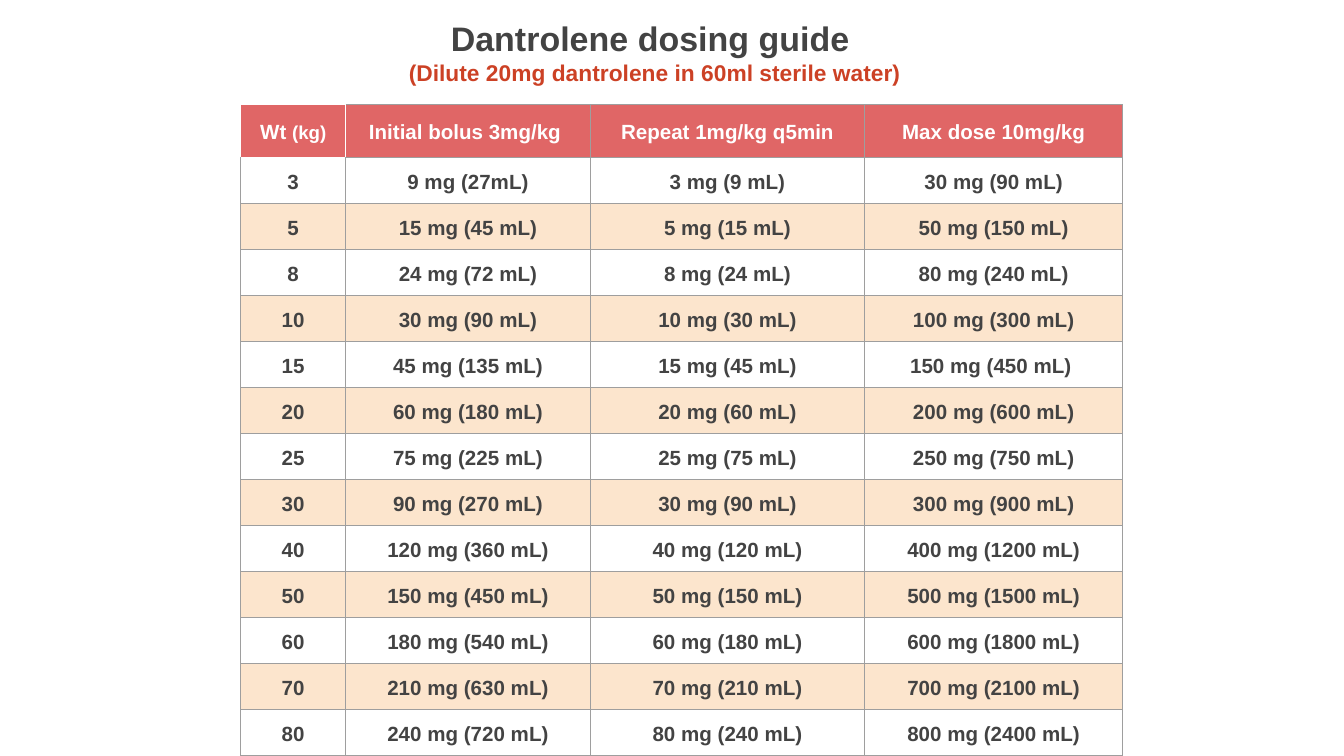
from dataclasses import dataclass

import pptx
import pptx.dml.color
import pptx.enum.text
import pptx.oxml
import pptx.oxml.ns
import pptx.util
from pptx.util import Cm


@dataclass(frozen=True)
class Theme:
    font: str = "Arial"
    dark: str = "434343"
    accent: str = "CC4125"
    header: str = "E06666"
    band: str = "FCE5CD"
    white: str = "FFFFFF"
    grid: str = "9E9E9E"
    title_size: float = 18.2
    subtitle_size: float = 12.2
    table_size: float = 11
    unit_size: float = 10
    line: float = 0.75


WEIGHTS = [3, 5, 8, 10, 15, 20, 25, 30, 40, 50, 60, 70, 80]
MG_PER_KG = [3, 1, 10]
ML_PER_MG = 3
HEADERS = ["Wt ", "Initial bolus 3mg/kg ", "Repeat 1mg/kg q5min", "Max dose 10mg/kg"]
COLUMN_WIDTHS = [1.98, 4.63, 5.18, 4.88]
HEADER_HEIGHT, ROW_HEIGHT = 0.98, 0.87
AS_WORDED = {"9 mg (27 mL)": "9 mg (27mL)", "150 mg (450 mL)": "150 mg (450 mL) "}


def dose_text(weight, rate):
    mg = weight * rate
    return f"{mg} mg ({mg * ML_PER_MG} mL)"


def dose_rows():
    rows = [[str(w)] + [dose_text(w, rate) for rate in MG_PER_KG] for w in WEIGHTS]
    rows[0][1] = AS_WORDED[rows[0][1]]
    rows[4][3] = AS_WORDED[rows[4][3]]
    return rows


class Deck:
    def __init__(self, theme, width, height):
        self.theme = theme
        self.prs = pptx.Presentation()
        self.prs.slide_width, self.prs.slide_height = Cm(width), Cm(height)
        self.s = self.prs.slides.add_slide(self.prs.slide_layouts[5])

    def style(self, p, color, size):
        p.alignment = pptx.enum.text.PP_ALIGN.CENTER
        for r in p.runs:
            r.font.name = self.theme.font
            r.font.size = pptx.util.Pt(size)
            r.font.bold = True
            r.font.color.rgb = pptx.dml.color.RGBColor.from_string(color)

    def title(self, left, top, width, height, title, subtitle):
        sp = self.s.shapes.title
        sp.left, sp.top, sp.width, sp.height = Cm(left), Cm(top), Cm(width), Cm(height)
        tf = sp.text_frame
        tf.text = f"{title}\n{subtitle}"
        tf.word_wrap = True
        tf.auto_size = pptx.enum.text.MSO_AUTO_SIZE.NONE
        tf.vertical_anchor = pptx.enum.text.MSO_ANCHOR.MIDDLE
        tf.margin_left = tf.margin_right = tf.margin_top = tf.margin_bottom = Cm(0.25)
        for p in tf.paragraphs:
            p.space_before = pptx.util.Pt(0)
        self.style(tf.paragraphs[0], self.theme.dark, self.theme.title_size)
        self.style(tf.paragraphs[1], self.theme.accent, self.theme.subtitle_size)

    def borders(self, cell, white_sides):
        tc_pr = cell._tc.get_or_add_tcPr()
        for side in "LRTB":
            color = self.theme.white if side in white_sides else self.theme.grid
            tc_pr.append(pptx.oxml.parse_xml(
                f'<a:ln{side} {pptx.oxml.ns.nsdecls("a")} w="{pptx.util.Pt(self.theme.line)}">'
                f'<a:solidFill><a:srgbClr val="{color}"/></a:solidFill></a:ln{side}>'))

    def cell(self, cell, text, color, fill, margin, white_sides=""):
        cell.text = text
        cell.vertical_anchor = pptx.enum.text.MSO_ANCHOR.MIDDLE
        cell.margin_left = cell.margin_right = Cm(0.25)
        cell.margin_top = cell.margin_bottom = Cm(margin)
        p = cell.text_frame.paragraphs[0]
        p.line_spacing = 1.15
        self.style(p, color, self.theme.table_size)
        self.borders(cell, white_sides)
        if fill:
            cell.fill.solid()
            cell.fill.fore_color.rgb = pptx.dml.color.RGBColor.from_string(fill)
        else:
            cell.fill.background()

    def table(self, left, top, widths, headers, rows):
        t = self.theme
        height = HEADER_HEIGHT + ROW_HEIGHT * len(rows)
        table = self.s.shapes.add_table(
            len(rows) + 1, len(headers), Cm(left), Cm(top), Cm(sum(widths)), Cm(height)).table
        table.first_row = table.horz_banding = False
        for column, width in zip(table.columns, widths):
            column.width = Cm(width)
        for i, row in enumerate(table.rows):
            row.height = Cm(ROW_HEIGHT if i else HEADER_HEIGHT)
        for c, text in enumerate(headers):
            white_sides = {0: "LRTB", 1: "L"}.get(c, "")
            self.cell(table.cell(0, c), text, t.white, t.header, 0.25, white_sides)
        for i, values in enumerate(rows, 1):
            fill = None if i % 2 else t.band
            for c, text in enumerate(values):
                white_sides = "T" if (i, c) == (1, 0) else ""
                self.cell(table.cell(i, c), text, t.dark, fill, 0.16, white_sides)
        return table

    def unit(self, cell, text):
        p = cell.text_frame.paragraphs[0]
        r = p.add_run()
        r.text = text
        self.style(p, self.theme.white, self.theme.table_size)
        r.font.size = pptx.util.Pt(self.theme.unit_size)


def main():
    deck = Deck(Theme(), 25.4, 14.29)
    deck.title(3.2, 0.18, 18.36, 1.6, "Dantrolene dosing guide ",
               "(Dilute 20mg dantrolene in 60ml sterile water)")
    table = deck.table(4.55, 1.98, COLUMN_WIDTHS, HEADERS, dose_rows())
    deck.unit(table.cell(0, 0), "(kg)")
    deck.prs.save("out.pptx")


if __name__ == "__main__":
    main()
